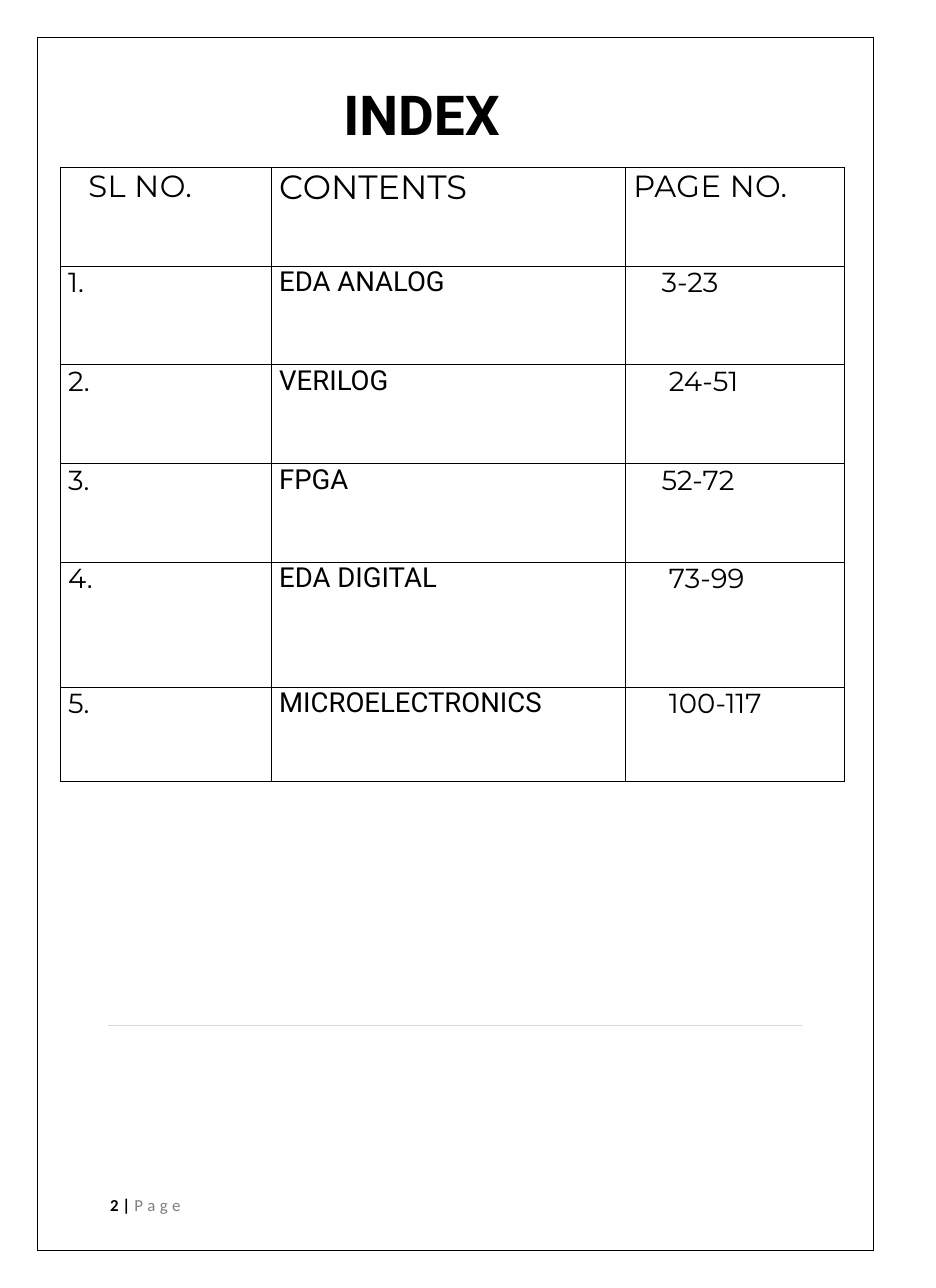
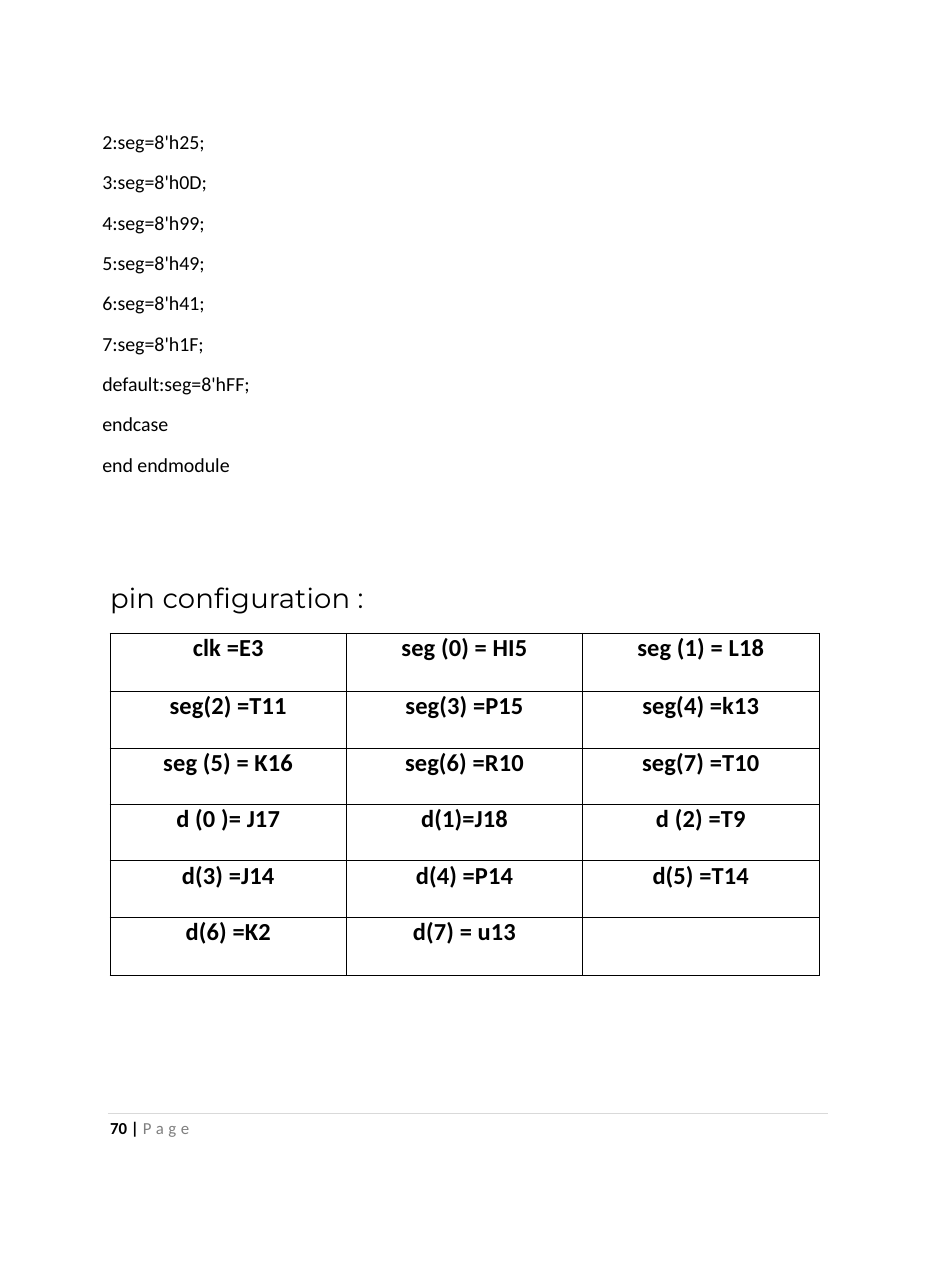
"""Build a two-page lab record: the index and a pin configuration sheet."""
from dataclasses import dataclass

from lxml.etree import SubElement
from pptx import Presentation
from pptx.dml.color import RGBColor
from pptx.enum.shapes import MSO_CONNECTOR
from pptx.enum.text import PP_ALIGN
from pptx.oxml.ns import qn
from pptx.slide import Slide
from pptx.table import _Cell
from pptx.util import Cm, Pt

BLACK = RGBColor(0x00, 0x00, 0x00)
GREY = RGBColor(0x7F, 0x7F, 0x7F)
RULE = RGBColor(0xD9, 0xD9, 0xD9)
BORDER_POINTS = 0.58
MARGIN = 2.54


@dataclass(frozen=True)
class Style:
    font: str
    size: float
    color: RGBColor = BLACK
    bold: bool = False
    tracking: float = 0


@dataclass(frozen=True)
class Entry:
    text: str
    style: Style
    indent: float = 0.18
    align: PP_ALIGN = PP_ALIGN.LEFT


@dataclass(frozen=True)
class Grid:
    left: float
    top: float
    columns: list[float]
    heights: list[float]
    rows: list[list[Entry]]


@dataclass(frozen=True)
class Footer:
    number: int
    top: float
    rule_top: float
    rule_length: float


TITLE = Style("Roboto", 36, bold=True)
HEADER = Style("Montserrat", 20, tracking=0.25)
WIDE_HEADER = Style("Montserrat", 22)
HEADING = Style("Montserrat", 18, tracking=0.1)
BODY = Style("Montserrat", 18)
TOPIC = Style("Roboto", 18)
CODE = Style("Calibri", 13)
PIN = Style("Calibri", 16, bold=True, tracking=0.1)
PAGE_NUMBER = Style("Calibri", 11, bold=True)
PAGE_WORD = Style("Calibri", 11, GREY, tracking=0.2)

TOPICS = [
    ("EDA ANALOG", "3-23", 0.83),
    ("VERILOG", "24-51", 1),
    ("FPGA", "52-72", 0.83),
    ("EDA DIGITAL", "73-99", 1),
    ("MICROELECTRONICS", "100-117", 1),
]
CODE_LINES = [
    "2:seg=8'h25;",
    "3:seg=8'h0D;",
    "4:seg=8'h99;",
    "5:seg=8'h49;",
    "6:seg=8'h41;",
    "7:seg=8'h1F;",
    "default:seg=8'hFF;",
    "endcase",
    "end endmodule",
]
PINS = [
    ["clk =E3", "seg (0) = HI5", "seg (1) = L18"],
    ["seg(2) =T11", "seg(3) =P15", "seg(4) =k13"],
    ["seg (5) = K16", "seg(6) =R10", "seg(7) =T10"],
    ["d (0 )= J17", "d(1)=J18", "d (2) =T9"],
    ["d(3) =J14", "d(4) =P14", "d(5) =T14"],
    ["d(6) =K2", "d(7) = u13", ""],
]


def format_span(span, style: Style) -> None:
    """Apply a text style to one run."""
    span.font.name = style.font
    span.font.size = Pt(style.size)
    span.font.bold = style.bold
    span.font.color.rgb = style.color
    if style.tracking:
        span._r.get_or_add_rPr().set("spc", str(round(style.tracking * 100)))


def add_text(page: Slide, left: float, top: float, width: float, height: float,
             lines: list[str], style: Style, spacing: float = 1.0):
    """Add a text box without insets and return it."""
    box = page.shapes.add_textbox(Cm(left), Cm(top), Cm(width), Cm(height))
    frame = box.text_frame
    frame.word_wrap = True
    frame.margin_left = frame.margin_right = frame.margin_top = frame.margin_bottom = 0
    frame.text = "\n".join(lines)
    for para in frame.paragraphs:
        para.line_spacing = spacing
        for span in para.runs:
            format_span(span, style)
    return box


def add_line(page: Slide, start: tuple[float, float], end: tuple[float, float],
             color: RGBColor, points: float) -> None:
    """Draw a straight line between two positions."""
    line = page.shapes.add_connector(
        MSO_CONNECTOR.STRAIGHT, Cm(start[0]), Cm(start[1]), Cm(end[0]), Cm(end[1]))
    line.line.color.rgb = color
    line.line.width = Pt(points)
    SubElement(line._element.spPr, qn("a:effectLst"))


def add_footer(page: Slide, footer: Footer) -> None:
    """Draw the grey rule and the page number."""
    left, top = 2.49, footer.rule_top
    add_line(page, (left, top), (left + footer.rule_length, top), RULE, 0.6)
    box = add_text(page, MARGIN, footer.top, 5.2, 0.48, [f"{footer.number} | "], PAGE_NUMBER)
    span = box.text_frame.paragraphs[0].add_run()
    span.text = "P a g e"
    format_span(span, PAGE_WORD)


def add_frame(page: Slide) -> None:
    """Draw the four thin lines around the page."""
    left, top, right, bottom = 0.86, 0.86, 20.15, 28.85
    corners = [(left, top), (right, top), (right, bottom), (left, bottom)]
    for first, second in ((0, 1), (0, 3), (1, 2), (3, 2)):
        add_line(page, corners[first], corners[second], BLACK, BORDER_POINTS)


def add_borders(cell: _Cell) -> None:
    """Give a cell a thin black line on every side."""
    properties = cell._tc.get_or_add_tcPr()
    for side in ("lnL", "lnR", "lnT", "lnB"):
        line = SubElement(properties, qn(f"a:{side}"), w=str(int(Pt(BORDER_POINTS))))
        fill = SubElement(line, qn("a:solidFill"))
        SubElement(fill, qn("a:srgbClr"), val=str(BLACK))


def fill_cell(cell: _Cell, entry: Entry) -> None:
    """Write and format one table cell."""
    add_borders(cell)
    cell.fill.background()
    cell.margin_left = Cm(entry.indent)
    cell.margin_right = cell.margin_top = cell.margin_bottom = 0
    para = cell.text_frame.paragraphs[0]
    para.text = entry.text
    para.alignment = entry.align
    for span in para.runs:
        format_span(span, entry.style)


def add_grid(page: Slide, grid: Grid) -> None:
    """Draw a bordered table."""
    table = page.shapes.add_table(
        len(grid.heights), len(grid.columns), Cm(grid.left), Cm(grid.top),
        Cm(sum(grid.columns)), Cm(sum(grid.heights))).table
    table.first_row = table.horz_banding = False
    for column, width in zip(table.columns, grid.columns):
        column.width = Cm(width)
    for row, height, entries in zip(table.rows, grid.heights, grid.rows):
        row.height = Cm(height)
        for cell, entry in zip(row.cells, entries):
            fill_cell(cell, entry)


def build_index(page: Slide) -> None:
    """Lay out the index page."""
    add_footer(page, Footer(2, 27.56, 23.66, 16.02))
    add_frame(page)
    rows = [[Entry("SL NO.", HEADER, 0.64), Entry("CONTENTS", WIDE_HEADER),
             Entry("PAGE NO.", HEADER)]]
    rows += [[Entry(f"{number}.", BODY, 0.17), Entry(topic, TOPIC), Entry(pages, BODY, indent)]
             for number, (topic, pages, indent) in enumerate(TOPICS, start=1)]
    add_grid(page, Grid(1.4, 3.86, [4.86, 8.17, 5.05], [2.28] * 4 + [2.88, 2.17], rows))
    add_text(page, 7.92, 1.86, 4.3, 1.55, ["INDEX"], TITLE)


def build_pins(page: Slide) -> None:
    """Lay out the code listing and the pin table."""
    add_footer(page, Footer(70, 25.78, 25.69, 16.62))
    add_text(page, 2.36, 2.61, 3.8, 9.25, CODE_LINES, CODE, 1.69)
    add_text(page, MARGIN, 13.41, 6.6, 0.71, ["pin configuration :"], HEADING)
    rows = [[Entry(text, PIN, 0, PP_ALIGN.CENTER) for text in row] for row in PINS]
    add_grid(page, Grid(MARGIN, 14.61, [5.45] * 3, [1.35] + [1.3] * 4 + [1.35], rows))


def main() -> None:
    """Build and save the deck."""
    deck = Presentation()
    deck.slide_width, deck.slide_height = Cm(21.59), Cm(29.72)
    blank = deck.slide_layouts[6]
    for build in (build_index, build_pins):
        build(deck.slides.add_slide(blank))
    deck.save("out.pptx")


if __name__ == "__main__":
    main()
